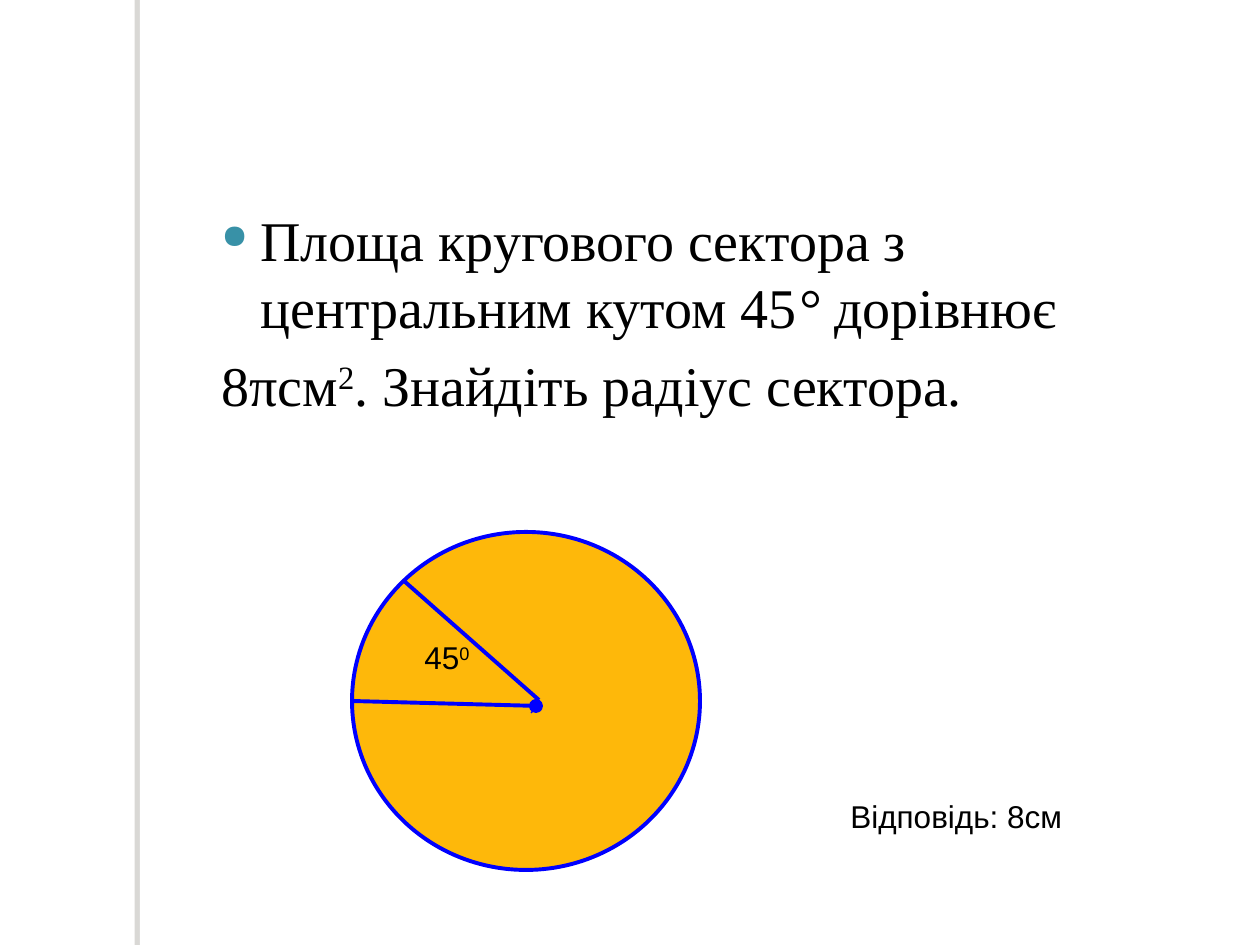
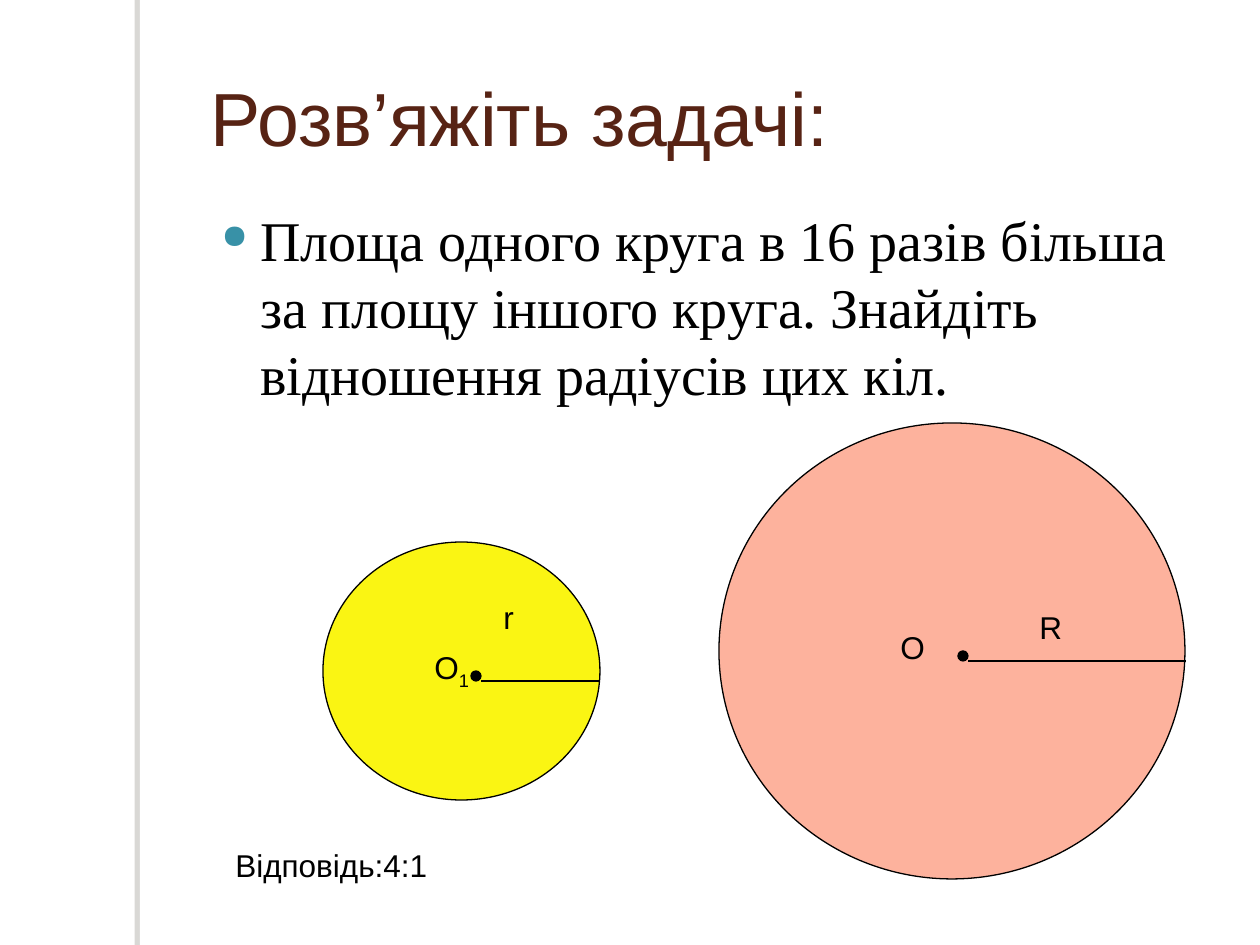
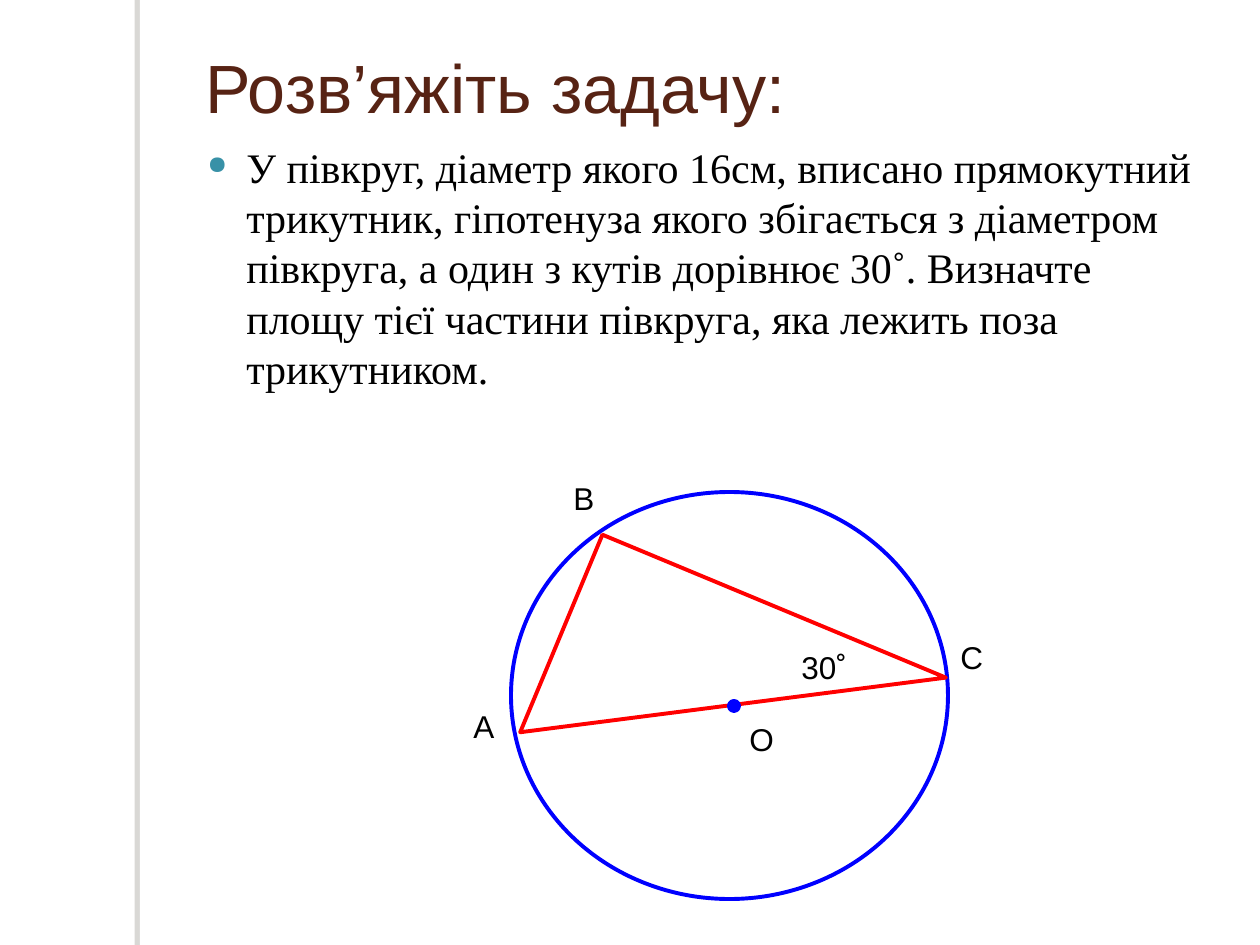
from lxml import etree
from pptx import Presentation
from pptx.dml.color import RGBColor
from pptx.enum.shapes import MSO_CONNECTOR, MSO_SHAPE
from pptx.enum.text import MSO_ANCHOR, MSO_AUTO_SIZE
from pptx.oxml.ns import qn
from pptx.util import Pt

PX = 914400 / 126
WIDTH, HEIGHT = 1260, 945
RECT, OVAL, TRIANGLE = MSO_SHAPE.RECTANGLE, MSO_SHAPE.OVAL, MSO_SHAPE.RIGHT_TRIANGLE
STRAIGHT = MSO_CONNECTOR.STRAIGHT
TOP, MIDDLE = MSO_ANCHOR.TOP, MSO_ANCHOR.MIDDLE
FIT_SHAPE, NO_FIT = MSO_AUTO_SIZE.SHAPE_TO_FIT_TEXT, MSO_AUTO_SIZE.NONE

WHITE, BLACK, BLUE, RED = "FFFFFF", "000000", "0000FF", "FF0000"
AMBER, YELLOW, SALMON = "FEB80A", "FAF513", "FDB29D"
TITLE_COLOR, BULLET_COLOR, BAND_SHADOW = "572314", "3891A7", "706B5F"
THIN, THICK = 0.75, 2.25
DOT, LABEL_HEIGHT = 10, 50
BODY_INDENT, BULLET_HANG = 50, 39

# A paragraph is a list of runs: plain text, or (text, format).
# Figure parts are listed from back to front.
SLIDES = [
    {
        "body": {
            "box": (198, 199, 1033, 662), "size": 32,
            "paragraphs": [
                ["Площа кругового сектора з центральним кутом 45",
                 ("°", {"italic": True}), " дорівнює"],
                ["8πсм", ("2", {"baseline": 30}), ". Знайдіть радіус сектора."],
            ],
        },
        "figure": [
            ("shape", OVAL, (352, 532, 348, 338), AMBER, BLUE, THICK),
            ("dot", (531, 701), BLUE, THICK),
            ("line", (532, 711), (533, 712), BLUE, THICK),
            ("line", (352, 701), (540, 706), BLUE, THICK),
            ("line", (403, 580), (539, 700), BLUE, THICK),
            ("label", (412, 632), 75, ["45", ("0", {"baseline": 30})]),
            ("label", (838, 791), 284, ["Відповідь: 8см"]),
        ],
    },
    {
        "title": {"box": (198, 38, 1033, 157), "size": 43, "text": "Розв’яжіть задачі:"},
        "body": {
            "box": (198, 199, 1028, 662), "size": 32,
            "paragraphs": [["Площа одного круга в 16 разів більша за площу іншого круга. "
                            "Знайдіть відношення радіусів цих кіл."]],
        },
        "figure": [
            ("shape", OVAL, (323, 542, 277, 258), YELLOW, BLACK, THIN),
            ("shape", OVAL, (719, 423, 466, 456), SALMON, BLACK, THIN),
            ("line", (481, 681), (600, 681), BLACK, THIN),
            ("line", (968, 661), (1186, 661), BLACK, THIN),
            ("label", (1027, 602), 48, ["R"]),
            ("label", (491, 592), 35, ["r"]),
            ("label", (422, 642), 66, ["O", ("1", {"baseline": -25})]),
            ("label", (888, 622), 49, ["O"]),
            ("dot", (958, 651), BLACK, THIN),
            ("dot", (471, 671), BLACK, THIN),
            ("label", (223, 840), 218, ["Відповідь:4:1"]),
        ],
    },
    {
        "title": {"box": (193, 38, 1038, 97), "size": 39, "text": "Розв’яжіть задачу:"},
        "body": {
            "box": (184, 135, 1022, 726), "size": 24,
            "paragraphs": [["У півкруг, діаметр якого 16см, вписано прямокутний трикутник, "
                            "гіпотенуза якого збігається з діаметром півкруга, а один з кутів "
                            "дорівнює 30˚. Визначте площу тієї частини півкруга, "
                            "яка лежить поза трикутником."]],
        },
        "figure": [
            ("shape", OVAL, (511, 492, 437, 407), None, BLUE, THICK),
            ("shape", TRIANGLE, (626, 519, 214, 372), None, RED, THICK, 112.6),
            ("dot", (729, 701), BLUE, THICK),
            ("label", (789, 642), 71, ["30˚"]),
            ("label", (461, 701), 45, ["А"]),
            ("label", (561, 473), 45, ["В"]),
            ("label", (948, 632), 48, ["С"]),
            ("label", (737, 714), 49, ["О"]),
        ],
    },
]


def emu(*lengths):
    return [round(length * PX) for length in lengths]


def rgb(color):
    return RGBColor.from_string(color)


def add_xml(parent, tag, **attributes):
    return etree.SubElement(parent, qn(tag), attributes)


def add_text(slide, box, paragraphs, size, font="Arial", color=BLACK, anchor=TOP,
             wrap=True, fit=NO_FIT, space_before=0):
    frame = slide.shapes.add_textbox(*emu(*box)).text_frame
    frame.word_wrap, frame.auto_size, frame.vertical_anchor = wrap, fit, anchor
    for index, runs in enumerate(paragraphs):
        paragraph = frame.add_paragraph() if index else frame.paragraphs[0]
        if index:
            paragraph.space_before = Pt(space_before)
        for item in runs:
            text, style = (item, {}) if isinstance(item, str) else item
            run = paragraph.add_run()
            run.text = text
            run.font.name, run.font.size = font, Pt(size)
            run.font.color.rgb = rgb(color)
            run.font.italic = style.get("italic")
            if "baseline" in style:
                run.font._element.set("baseline", str(style["baseline"] * 1000))
    return frame


def add_shape(slide, kind, box, fill=None, line=None, weight=THIN, rotation=0):
    shape = slide.shapes.add_shape(kind, *emu(*box))
    shape.shadow.inherit = False
    shape.rotation = rotation
    if fill:
        shape.fill.solid()
        shape.fill.fore_color.rgb = rgb(fill)
    else:
        shape.fill.background()
    if line:
        shape.line.color.rgb = rgb(line)
        shape.line.width = Pt(weight)
    else:
        shape.line.fill.background()
    return shape


def add_dot(slide, corner, color, weight):
    add_shape(slide, OVAL, (*corner, DOT, DOT), color, color, weight)


def add_line(slide, start, end, color, weight):
    line = slide.shapes.add_connector(STRAIGHT, *emu(*start, *end))
    line.line.color.rgb = rgb(color)
    line.line.width = Pt(weight)
    add_xml(line._element.spPr, "a:effectLst")


def add_label(slide, corner, width, runs):
    is_answer = len(runs[0]) > 3
    add_text(slide, (*corner, width, LABEL_HEIGHT), [runs], 18, wrap=is_answer, fit=FIT_SHAPE)


def add_band(slide):
    """White side band whose shadow falls to the left as a grey rule."""
    band = add_shape(slide, RECT, (140, 0, 10, HEIGHT), WHITE)
    effects = band._element.spPr.find(qn("a:effectLst"))
    shadow = add_xml(effects, "a:outerShdw", blurRad="0", dist=str(Pt(3)),
                     dir="10800000", algn="tl", rotWithShape="0")
    tint = add_xml(shadow, "a:srgbClr", val=BAND_SHADOW)
    add_xml(tint, "a:alpha", val="25000")


def add_body(slide, box, size, paragraphs):
    """Problem text: the first paragraph has a bullet, the next only its indent."""
    frame = add_text(slide, box, paragraphs, size, font="Times New Roman", space_before=6)
    margin, hang = emu(BODY_INDENT, BULLET_HANG)
    for index, paragraph in enumerate(frame.paragraphs):
        properties = paragraph._p.get_or_add_pPr()
        properties.set("marL", str(margin))
        properties.set("indent", str(-hang))
        if index == 0:
            add_xml(add_xml(properties, "a:buClr"), "a:srgbClr", val=BULLET_COLOR)
            add_xml(properties, "a:buSzPct", val="60000")
            add_xml(properties, "a:buChar", char="●")
        else:
            add_xml(properties, "a:buNone")


DRAW = {"shape": add_shape, "dot": add_dot, "line": add_line, "label": add_label}


def main():
    deck = Presentation()
    deck.slide_width, deck.slide_height = emu(WIDTH, HEIGHT)
    for content in SLIDES:
        slide = deck.slides.add_slide(deck.slide_layouts[6])
        add_band(slide)
        if "title" in content:
            title = content["title"]
            add_text(slide, title["box"], [[title["text"]]], title["size"],
                     color=TITLE_COLOR, anchor=MIDDLE)
        add_body(slide, **content["body"])
        for part, *details in content["figure"]:
            DRAW[part](slide, *details)
    deck.save("out.pptx")


if __name__ == "__main__":
    main()
